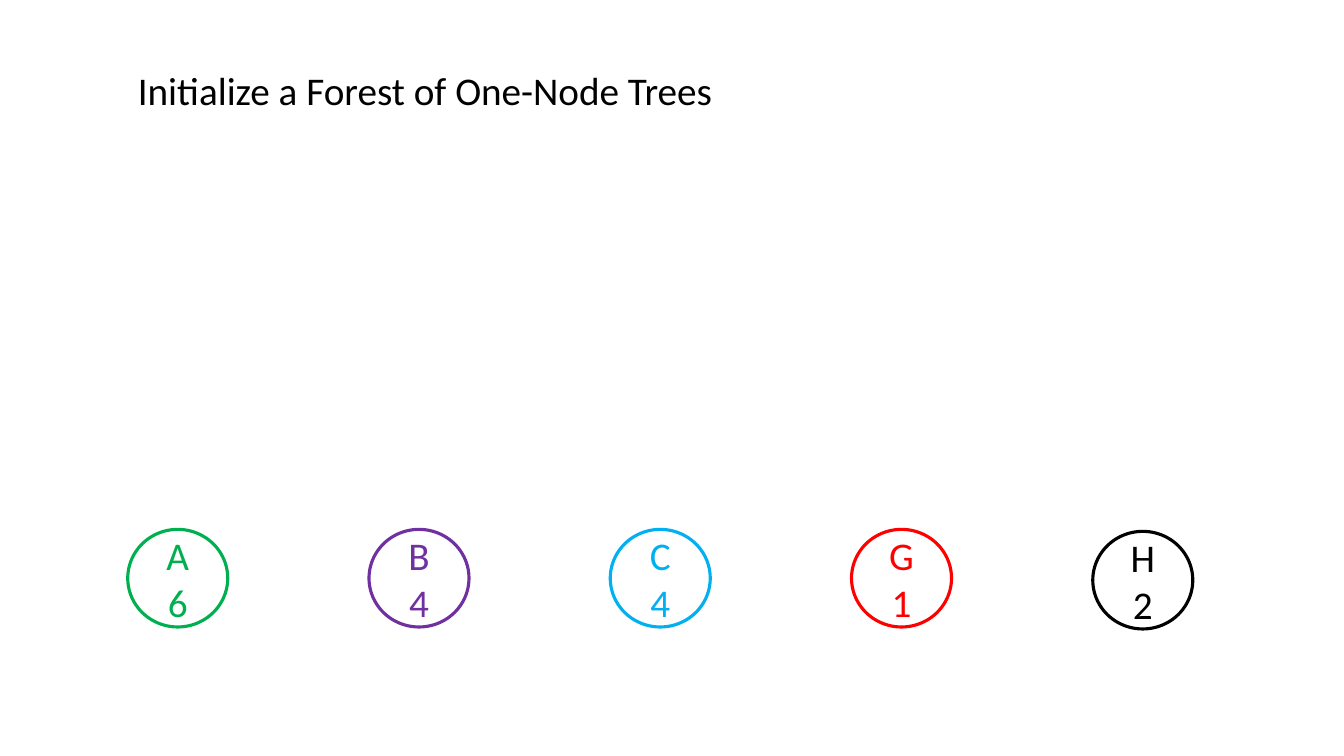
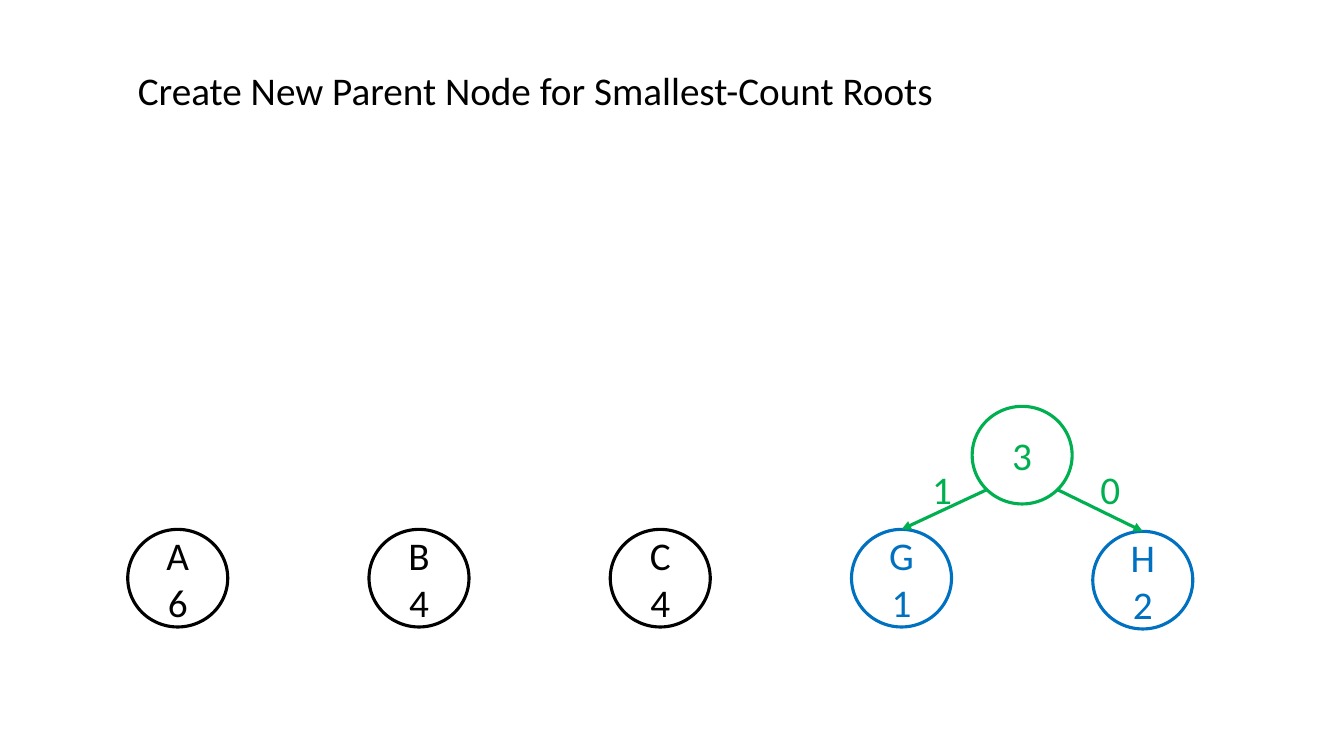
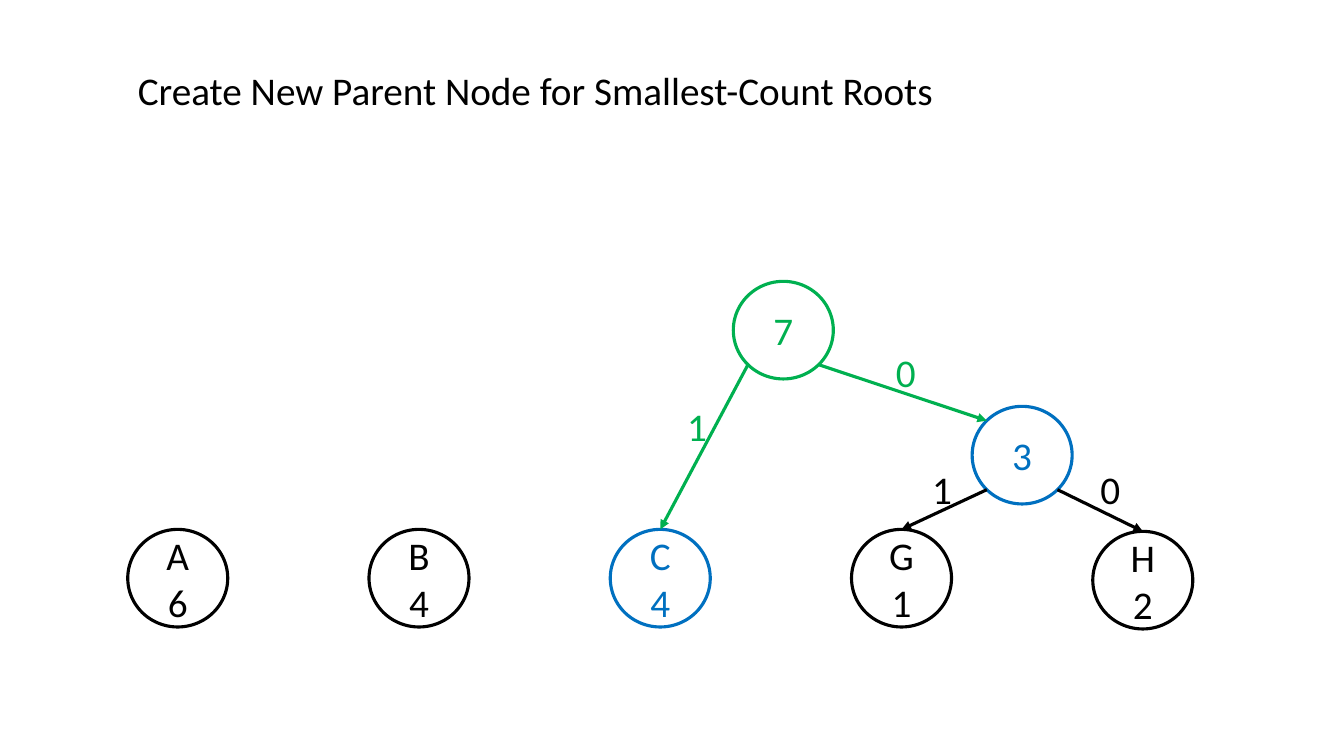
"""Build three slides that grow a Huffman tree from a forest of one-node trees."""
from dataclasses import dataclass, field
from math import cos, radians, sin
from typing import Any

from lxml import etree
from pptx import Presentation
from pptx import util as u
from pptx.dml.color import RGBColor
from pptx.enum import shapes, text
from pptx.oxml import ns

BLACK = RGBColor(0x00, 0x00, 0x00)
GREEN = RGBColor(0x00, 0xB0, 0x50)
PURPLE = RGBColor(0x70, 0x30, 0xA0)
SKY = RGBColor(0x00, 0xB0, 0xF0)
RED = RGBColor(0xFF, 0x00, 0x00)
BLUE = RGBColor(0x00, 0x70, 0xC0)

FONT = {"name": "Calibri", "size": u.Pt(28), "bold": False}
LINE_WIDTH = u.Pt(2.25)
FIRST_LEFT, PITCH = 3.22, 6.08
NODE_WIDTH, NODE_HEIGHT = 2.52, 2.46
TITLE_BOX = (3.22, 1.55, 30.66, 1.45)
BIT_WIDTH, BIT_HEIGHT = 0.89, 1.45
LEFT, CENTER = text.PP_ALIGN.LEFT, text.PP_ALIGN.CENTER
TEXT_BOX = {
    "word_wrap": True,
    "vertical_anchor": text.MSO_ANCHOR.TOP,
    "auto_size": text.MSO_AUTO_SIZE.SHAPE_TO_FIT_TEXT,
}
NODE_BOX = {"word_wrap": True, "vertical_anchor": text.MSO_ANCHOR.MIDDLE}


@dataclass(frozen=True)
class Node:
    """A tree node placed by column and top edge."""
    label: str
    column: float
    top: float = 13.34

    @property
    def left(self) -> float:
        """Return the left edge in centimetres."""
        return FIRST_LEFT + self.column * PITCH

    def port(self, angle: float) -> tuple[float, float]:
        """Return the point on the outline at an angle in degrees."""
        turn = radians(angle)
        return (self.left + NODE_WIDTH / 2 * (1 + cos(turn)),
                self.top + NODE_HEIGHT / 2 * (1 - sin(turn)))


@dataclass(frozen=True)
class Branch:
    """An arrow from parent to child with its code bit."""
    parent: Node
    child: Node
    bit: str
    bit_left: float
    bit_top: float
    arrival: float = 90


@dataclass(frozen=True)
class Step:
    """One slide: its title and the colour of every node and branch."""
    title: str
    nodes: dict[Node, RGBColor]
    branches: dict[Branch, RGBColor] = field(default_factory=dict)


A, B, C, G = (Node(label, column) for column, label in enumerate(("A\n6", "B\n4", "C\n4", "G\n1")))
H = Node("H\n2", 4, 13.39)
GH = Node("3", 3.5, 10.24)
CGH = Node("7", 2.51, 7.09)
TO_G = Branch(GH, G, "1", 23.24, 11.61)
TO_H = Branch(GH, H, "0", 27.48, 11.61)
TO_C = Branch(CGH, C, "1", 17.07, 10.01)
TO_GH = Branch(CGH, GH, "0", 22.33, 8.66, arrival=135)

MERGE = "Create New Parent Node for Smallest-Count Roots"
STEPS = (
    Step("Initialize a Forest of One-Node Trees", {A: GREEN, B: PURPLE, C: SKY, G: RED, H: BLACK}),
    Step(MERGE, {A: BLACK, B: BLACK, C: BLACK, G: BLUE, H: BLUE, GH: GREEN},
         {TO_G: GREEN, TO_H: GREEN}),
    Step(MERGE, {A: BLACK, B: BLACK, C: BLUE, G: BLACK, H: BLACK, GH: BLUE, CGH: GREEN},
         {TO_G: BLACK, TO_H: BLACK, TO_C: GREEN, TO_GH: GREEN}),
)


def apply(target: Any, values: dict[str, Any]) -> None:
    """Set every attribute named in values."""
    for name, value in values.items():
        setattr(target, name, value)


def lengths(*values: float) -> list[u.Length]:
    """Convert centimetres to lengths."""
    return [u.Cm(value) for value in values]


def write(frame: Any, words: str, color: RGBColor, box: dict[str, Any], align: Any) -> None:
    """Fill a text frame with uniformly formatted paragraphs."""
    frame.text = words
    apply(frame, box)
    for paragraph in frame.paragraphs:
        paragraph.alignment = align
        for run in paragraph.runs:
            apply(run.font, FONT)
            run.font.color.rgb = color


def stroke(line: Any, color: RGBColor) -> None:
    """Give an outline the shared width and a colour."""
    line.color.rgb = color
    line.width = LINE_WIDTH


def draw_title(slide: Any, words: str) -> None:
    """Place the slide title."""
    heading = slide.shapes.title
    apply(heading, dict(zip(("left", "top", "width", "height"), lengths(*TITLE_BOX))))
    write(heading.text_frame, words, BLACK, TEXT_BOX, LEFT)


def draw_node(slide: Any, node: Node, color: RGBColor) -> None:
    """Draw a node as an outlined ellipse."""
    circle = slide.shapes.add_shape(
        shapes.MSO_SHAPE.OVAL, *lengths(node.left, node.top, NODE_WIDTH, NODE_HEIGHT))
    circle.shadow.inherit = False
    circle.fill.background()
    stroke(circle.line, color)
    write(circle.text_frame, node.label, color, NODE_BOX, CENTER)


def draw_branch(slide: Any, branch: Branch, color: RGBColor) -> None:
    """Draw the arrow of a branch and its code bit."""
    departure = 225 if branch.bit == "1" else 315
    arrow = slide.shapes.add_connector(
        shapes.MSO_CONNECTOR.STRAIGHT,
        *lengths(*branch.parent.port(departure), *branch.child.port(branch.arrival)))
    stroke(arrow.line, color)
    properties = arrow._element.spPr
    etree.SubElement(properties.find(ns.qn("a:ln")), ns.qn("a:tailEnd"), type="triangle")
    etree.SubElement(properties, ns.qn("a:effectLst"))
    bit = slide.shapes.add_textbox(
        *lengths(branch.bit_left, branch.bit_top, BIT_WIDTH, BIT_HEIGHT))
    write(bit.text_frame, branch.bit, color, TEXT_BOX, CENTER if branch.bit == "1" else LEFT)


def main() -> None:
    """Draw every step and save the deck."""
    deck = Presentation()
    deck.slide_width, deck.slide_height = u.Cm(33.87), u.Cm(19.05)
    title_only = deck.slide_layouts.get_by_name("Title Only")
    for step in STEPS:
        slide = deck.slides.add_slide(title_only)
        draw_title(slide, step.title)
        for node, color in step.nodes.items():
            draw_node(slide, node, color)
        for branch, color in step.branches.items():
            draw_branch(slide, branch, color)
    deck.save("out.pptx")


main()
